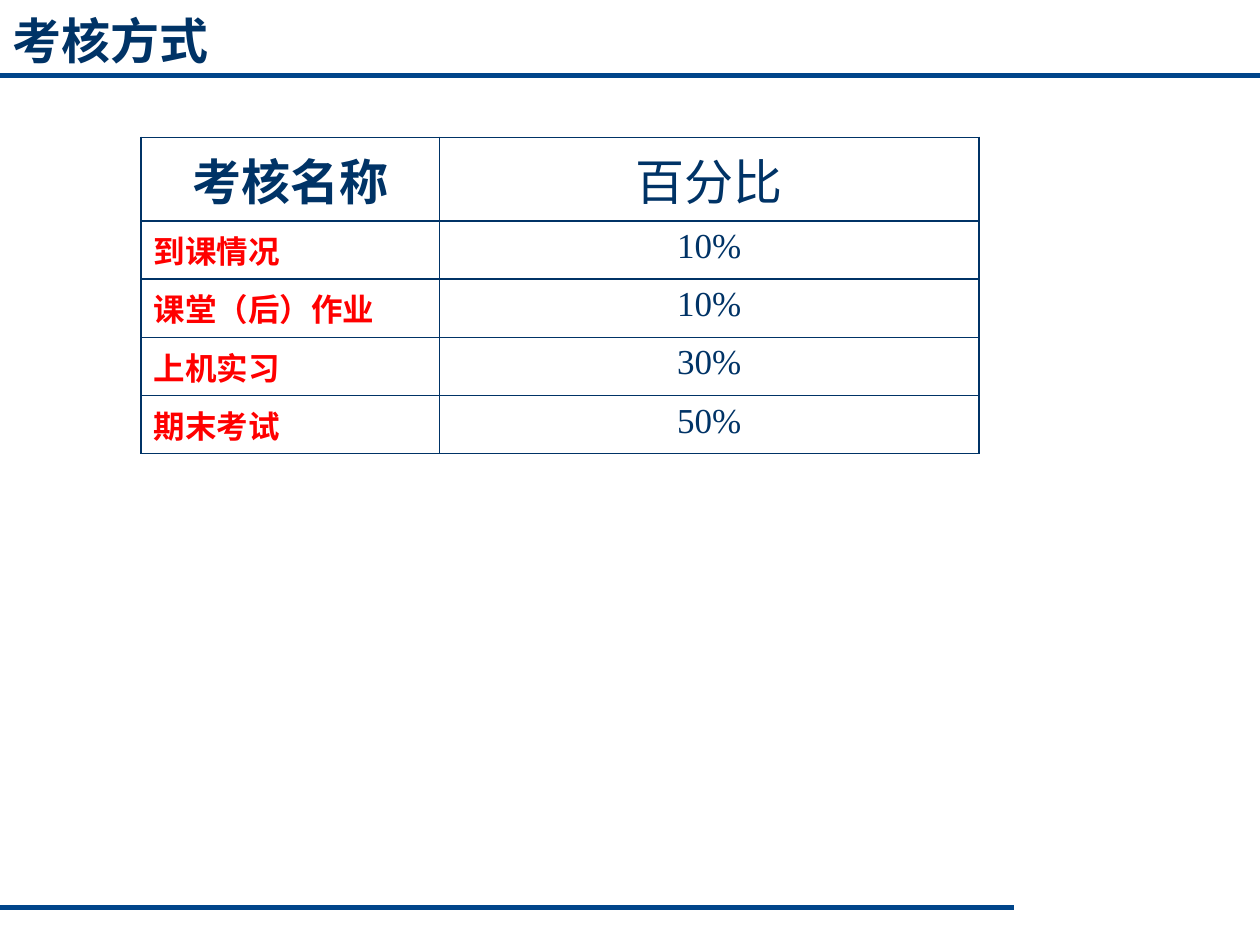
from lxml.etree import SubElement
from pptx import Presentation
from pptx.dml.color import RGBColor
from pptx.enum.shapes import MSO_CONNECTOR
from pptx.enum.text import MSO_ANCHOR, PP_ALIGN
from pptx.oxml import parse_xml
from pptx.oxml.ns import nsdecls, qn
from pptx.util import Inches, Pt

NAVY = RGBColor(0x00, 0x33, 0x66)
BLUE = RGBColor(0x00, 0x45, 0x8A)
RED = RGBColor(0xFF, 0x00, 0x00)
WHITE = RGBColor(0xFF, 0xFF, 0xFF)

HAN = "Noto Sans CJK SC"
ROMAN = "Times New Roman"
TITLE = dict(name="Courier New", size=Pt(28), bold=True, color=NAVY)
HEAD = dict(name=HAN, size=Pt(28), bold=True, color=NAVY)
HEAD_PCT = dict(HEAD, name=ROMAN, bold=False)
ITEM = dict(name=HAN, size=Pt(18), bold=True, color=RED)
PCT = dict(name=ROMAN, size=Pt(20), bold=False, color=NAVY)

ROWS = [
    ("考核名称", "百分比"),
    ("到课情况", "10%"),
    ("课堂（后）作业", "10%"),
    ("上机实习", "30%"),
    ("期末考试", "50%"),
]


class Deck:
    """Holds the style and the current slide; places are shares of its size."""

    def __init__(self, wide, high):
        self.prs = Presentation()
        self.prs.slide_width = self.wide = Inches(wide)
        self.prs.slide_height = self.high = Inches(high)
        self.slide = self.prs.slides.add_slide(self.prs.slide_layouts[5])
        back = self.slide.background.fill
        back.solid()
        back.fore_color.rgb = WHITE

    def box(self, x, y, w, h):
        return [int(v) for v in (x * self.wide, y * self.high,
                                 w * self.wide, h * self.high)]

    def text(self, frame, words, form, align=PP_ALIGN.LEFT):
        par = frame.paragraphs[0]
        par.alignment = align
        run = par.add_run()
        run.text = words
        for key, val in form.items():
            if key == "color":
                run.font.color.rgb = val
            else:
                setattr(run.font, key, val)
        SubElement(run.font._element, qn("a:ea"), typeface=HAN)
        return par

    def title(self, words, *place):
        shape = self.slide.shapes.title
        sides = ("left", "top", "width", "height")
        for side, val in zip(sides, self.box(*place)):
            setattr(shape, side, val)
        shape.text_frame.vertical_anchor = MSO_ANCHOR.MIDDLE
        self.text(shape.text_frame, words, TITLE)

    def rule(self, y, end):
        """Draw a level line from the left edge."""
        x1, y1, x2, y2 = self.box(0, y, end, y)
        line = self.slide.shapes.add_connector(
            MSO_CONNECTOR.STRAIGHT, x1, y1, x2, y2)
        line.line.color.rgb = BLUE
        line.line.width = Pt(3)
        SubElement(line._element.spPr, qn("a:effectLst"))

    def border(self, cell):
        props = cell._tc.get_or_add_tcPr()
        for n, side in enumerate(("lnL", "lnR", "lnT", "lnB")):
            props.insert(n, parse_xml(
                f'<a:{side} {nsdecls("a")} w="{Pt(1)}"><a:solidFill>'
                f'<a:srgbClr val="{NAVY}"/></a:solidFill></a:{side}>'))

    def cell(self, cell, words, form, align):
        cell.fill.solid()
        cell.fill.fore_color.rgb = WHITE
        self.border(cell)
        par = self.text(cell.text_frame, words, form, align)
        space = SubElement(par._p.get_or_add_pPr(), qn("a:spcBef"))
        SubElement(space, qn("a:spcPct"), val="20000")

    def table(self, rows, place, cols, step):
        frame = self.slide.shapes.add_table(
            len(rows), len(cols), *self.box(*place))
        grid = frame.table
        for col, wide in zip(grid.columns, cols):
            col.width = int(wide * self.wide)
        for r, row in enumerate(rows):
            grid.rows[r].height = int(step * self.high)
            forms = (ITEM, PCT) if r else (HEAD, HEAD_PCT)
            for c, words in enumerate(row):
                left = r > 0 and c == 0
                align = PP_ALIGN.LEFT if left else PP_ALIGN.CENTER
                self.cell(grid.cell(r, c), words, forms[c], align)


def main():
    deck = Deck(10, 7.5)
    deck.rule(0.08, 1)
    deck.rule(0.96, 0.805)
    deck.title("考核方式", 0, 0, 1, 0.64 / 7.5)
    deck.table(ROWS, (0.112, 1.09 / 7.5, 0.665, 2.3 / 7.5),
               (0.237, 0.428), 0.41 / 7.5)
    deck.prs.save("out.pptx")


if __name__ == "__main__":
    main()
